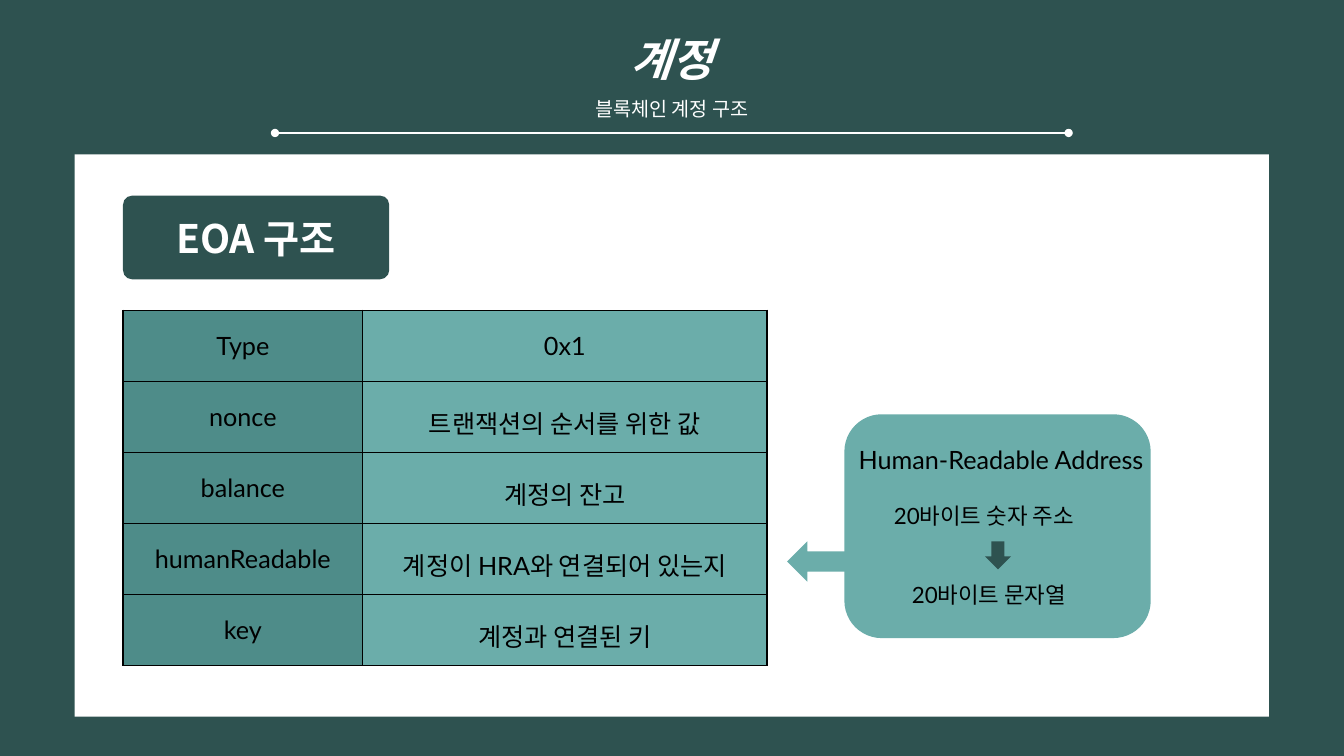
import lxml.etree
import pptx
import pptx.dml.color
import pptx.enum.shapes
import pptx.enum.text
import pptx.oxml.ns
import pptx.util

Cm = pptx.util.Cm
Pt = pptx.util.Pt
qn = pptx.oxml.ns.qn
SHAPES = pptx.enum.shapes.MSO_SHAPE
ALIGN = pptx.enum.text.PP_ALIGN

DARK, MIDDLE, LIGHT = "2E5250", "4E8C89", "6BADAA"
WHITE, BLACK = "FFFFFF", "000000"
KOREAN, LATIN = "Noto Sans CJK KR", "Lato"
ACCOUNT_FIELDS = [
    ("Type", "0x1"),
    ("nonce", "트랜잭션의 순서를 위한 값"),
    ("balance", "계정의 잔고"),
    ("humanReadable", "계정이 HRA와 연결되어 있는지"),
    ("key", "계정과 연결된 키"),
]


def rgb(value):
    """Turn a hex string into a colour."""
    return pptx.dml.color.RGBColor.from_string(value)


def write(paragraph, text, size, color, font=LATIN, bold=False, italic=False,
          align=ALIGN.CENTER, spacing=None):
    """Fill a paragraph with text in one style."""
    paragraph.text = text
    paragraph.alignment = align
    if spacing:
        paragraph.line_spacing = spacing
    paragraph.font.size = Pt(size)
    paragraph.font.bold = bold
    paragraph.font.italic = italic
    paragraph.font.color.rgb = rgb(color)
    paragraph.font.name = font
    properties = paragraph._p.pPr.find(qn("a:defRPr"))
    lxml.etree.SubElement(properties, qn("a:ea"), typeface=KOREAN)


def add_block(slide, kind, left, top, width, height, color):
    """Add a plain filled shape without outline or shadow."""
    shape = slide.shapes.add_shape(kind, Cm(left), Cm(top), Cm(width), Cm(height))
    shape.shadow.inherit = False
    shape.fill.solid()
    shape.fill.fore_color.rgb = rgb(color)
    shape.line.fill.background()
    return shape


def add_text_frame(slide, left, top, width, height):
    """Add a wrapping text box and return its text frame."""
    box = slide.shapes.add_textbox(Cm(left), Cm(top), Cm(width), Cm(height))
    box.text_frame.word_wrap = True
    return box.text_frame


def add_header(slide, left, top, width):
    """Place the title and subtitle above a line with round ends."""
    frame = add_text_frame(slide, left + 1.53, top, width - 3.06, 3.2)
    write(frame.paragraphs[0], "계정", 32, WHITE, KOREAN, True, True, spacing=1.5)
    write(frame.add_paragraph(), "블록체인 계정 구조", 14, WHITE, KOREAN, spacing=1.5)
    line = slide.shapes.add_connector(
        pptx.enum.shapes.MSO_CONNECTOR.STRAIGHT,
        Cm(left + width), Cm(top + 3.35), Cm(left), Cm(top + 3.35))
    line.line.color.rgb = rgb(WHITE)
    line.line.width = Pt(1)
    for end in ("a:headEnd", "a:tailEnd"):
        lxml.etree.SubElement(line.line._get_or_add_ln(), qn(end), type="oval")
    lxml.etree.SubElement(line._element.spPr, qn("a:effectLst"))


def add_badge(slide, left, top, width, height):
    """Place the section heading on a rounded block."""
    badge = add_block(slide, SHAPES.ROUNDED_RECTANGLE, left, top, width, height, DARK)
    badge.adjustments[0] = 0.11
    badge.text_frame.vertical_anchor = pptx.enum.text.MSO_ANCHOR.MIDDLE
    write(badge.text_frame.paragraphs[0], "EOA 구조", 28, WHITE, KOREAN, True)


def add_borders(cell):
    """Draw thin black borders around a table cell."""
    properties = cell._tc.get_or_add_tcPr()
    for side in ("a:lnL", "a:lnR", "a:lnT", "a:lnB"):
        border = lxml.etree.SubElement(properties, qn(side), w=str(Pt(1)))
        fill = lxml.etree.SubElement(border, qn("a:solidFill"))
        lxml.etree.SubElement(fill, qn("a:srgbClr"), val=BLACK)


def add_account_table(slide, left, top, column_widths, row_height):
    """Place the table of account fields and their meanings."""
    rows = len(ACCOUNT_FIELDS)
    table = slide.shapes.add_table(
        rows, len(column_widths), Cm(left), Cm(top),
        Cm(sum(column_widths)), Cm(rows * row_height)).table
    table.first_row = table.horz_banding = False
    for column, width in zip(table.columns, column_widths):
        column.width = Cm(width)
    for row_index, texts in enumerate(ACCOUNT_FIELDS):
        table.rows[row_index].height = Cm(row_height)
        for column_index, text in enumerate(texts):
            cell = table.cell(row_index, column_index)
            add_borders(cell)
            cell.fill.solid()
            cell.fill.fore_color.rgb = rgb((MIDDLE, LIGHT)[column_index])
            write(cell.text_frame.paragraphs[0], text, 18, BLACK, spacing=1.5)


def add_address_card(slide, left, top, width, height):
    """Place the address card, with an arrow pointing left to the table."""
    add_block(slide, SHAPES.LEFT_ARROW, left - 1.44, top + 3.2, 1.73, 1.02, LIGHT)
    add_block(slide, SHAPES.ROUNDED_RECTANGLE, left, top, width, height, LIGHT)
    labels = [
        ("Human-Readable Address", 18, 0.11, 0.63, 7.75),
        ("20바이트 숫자 주소", 16, 1, 2.08, 5.77),
        ("20바이트 문자열", 16, 1.45, 4.09, 4.83),
    ]
    for text, size, x, y, label_width in labels:
        frame = add_text_frame(slide, left + x, top + y, label_width, 1)
        write(frame.paragraphs[0], text, size, BLACK, align=ALIGN.LEFT)
    add_block(slide, SHAPES.DOWN_ARROW, left + 3.54, top + 3.2, 0.66, 0.71, DARK)


def main():
    """Build the slide and save it."""
    presentation = pptx.Presentation()
    presentation.slide_width, presentation.slide_height = Cm(33.87), Cm(19.05)
    slide = presentation.slides.add_slide(presentation.slide_layouts[6])
    slide.background.fill.solid()
    slide.background.fill.fore_color.rgb = rgb(DARK)
    add_header(slide, 6.93, 0, 20)
    add_block(slide, SHAPES.RECTANGLE, 1.88, 3.89, 30.1, 14.17, WHITE)
    add_badge(slide, 3.1, 4.93, 6.71, 2.11)
    add_account_table(slide, 3.1, 7.82, (6.04, 10.19), 1.79)
    add_address_card(slide, 21.28, 10.44, 7.72, 5.64)
    presentation.save("out.pptx")


if __name__ == "__main__":
    main()
